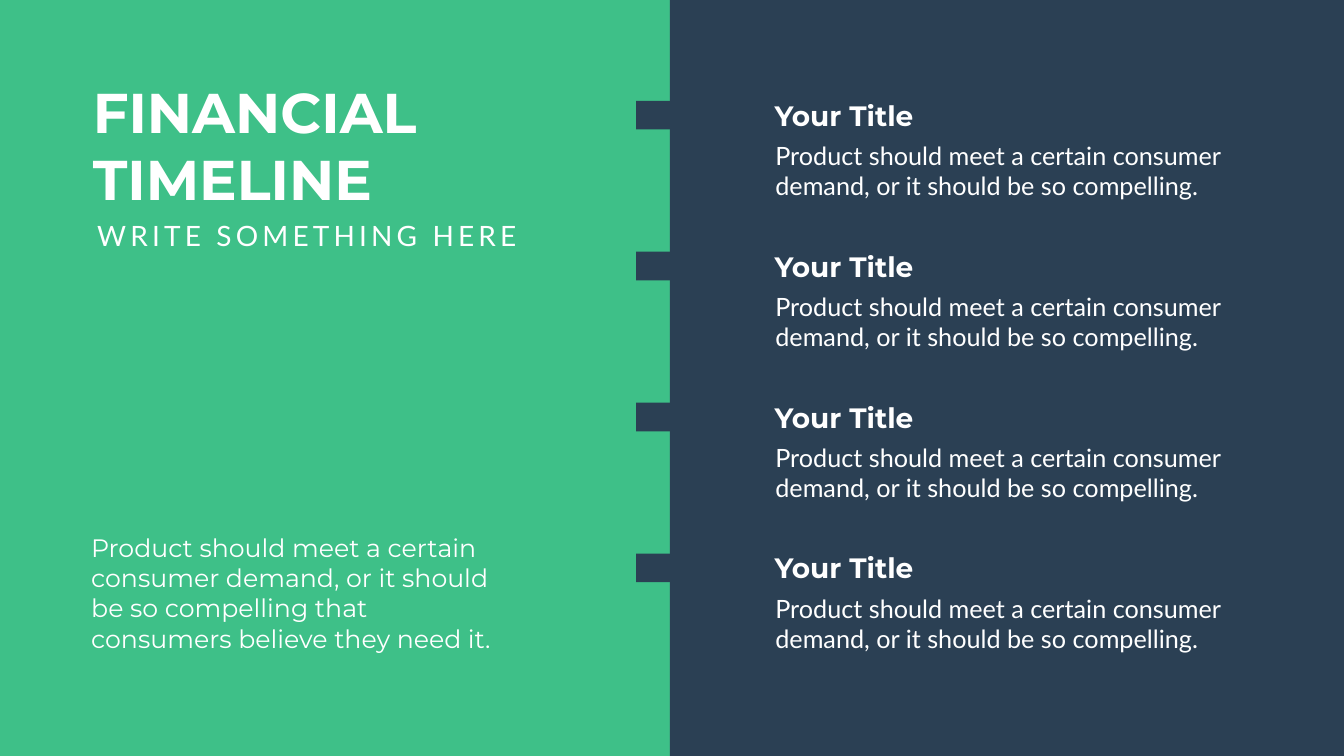
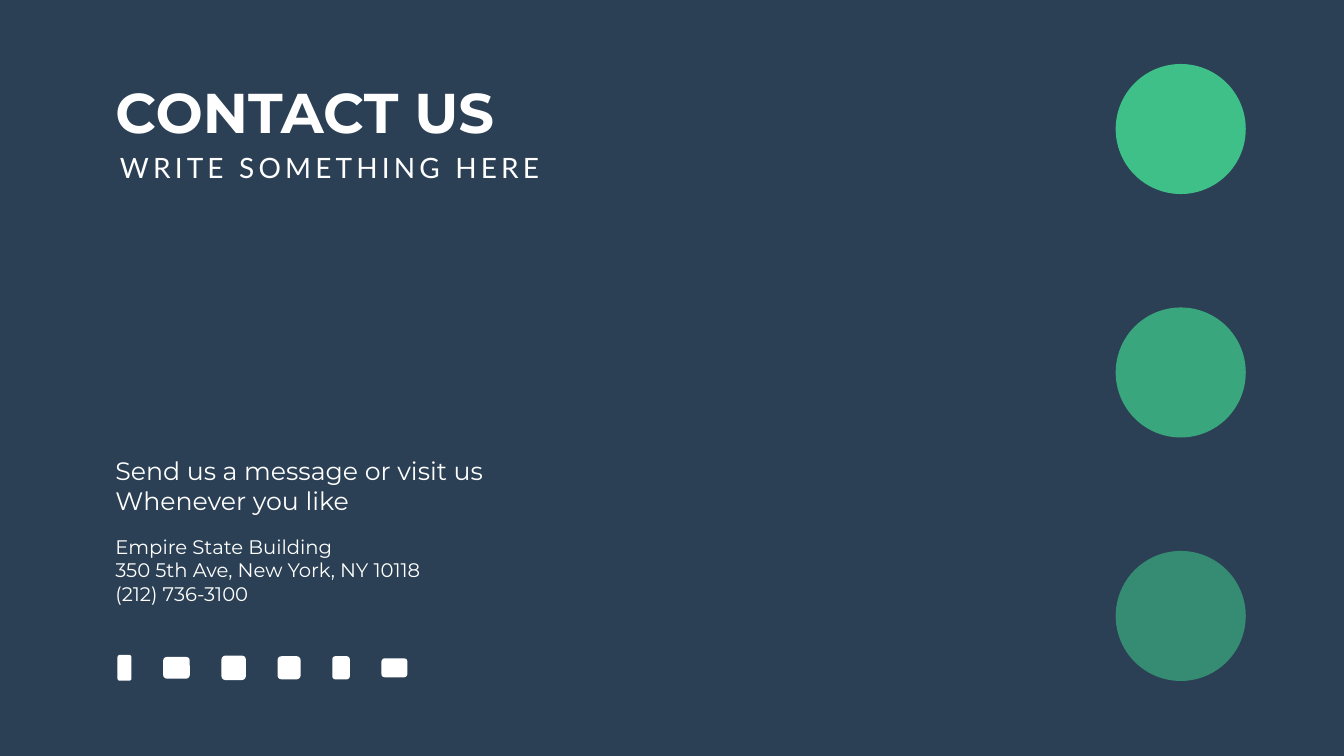
from lxml import etree
from pptx import Presentation
from pptx.dml.color import RGBColor
from pptx.enum.shapes import MSO_SHAPE
from pptx.enum.text import MSO_ANCHOR, MSO_AUTO_SIZE, PP_ALIGN
from pptx.oxml.ns import qn
from pptx.util import Pt

RECT, ROUNDED, OVAL = MSO_SHAPE.RECTANGLE, MSO_SHAPE.ROUNDED_RECTANGLE, MSO_SHAPE.OVAL
TOP, LEFT, GROW = MSO_ANCHOR.TOP, PP_ALIGN.LEFT, MSO_AUTO_SIZE.SHAPE_TO_FIT_TEXT

# Shared style
WIDTH, HEIGHT = 1919.52, 1080
GREEN, NAVY, WHITE = "3EC088", "2B4054", "FFFFFF"
HEAD, BODY = "Montserrat", "Lato"
NARROW, WIDE = (7.2, 3.6), (17.28, 8.64)  # horizontal and vertical insets
TITLE_TOP = 106.6

# Content
SUBTITLE = "WRITE SOMETHING HERE"
MILESTONES = [("Your Title",
               "Product should meet a certain consumer demand, "
               "or it should be so compelling.")] * 4
SUMMARY = ("Product should meet a certain consumer demand, or it should be "
           "so compelling that consumers believe they need it.")
MESSAGE = ["Send us a message or visit us", "Whenever you like"]
ADDRESS = ["Empire State Building", "350 5th Ave, New York, NY 10118",
           "(212) 736-3100"]
CIRCLE_OPACITY = [100, 80, 60]
SOCIAL_MARKS = [(20, 37), (38, 31), (35, 35), (33, 33), (25, 33), (37, 27)]


def color(value):
    return RGBColor.from_string(value)


def add_block(s, kind, x, y, w, h, fill, opacity=100):
    sp = s.shapes.add_shape(kind, Pt(x), Pt(y), Pt(w), Pt(h))
    sp.shadow.inherit = False
    sp.line.fill.background()
    sp.fill.solid()
    sp.fill.fore_color.rgb = color(fill)
    if opacity < 100:
        clr = sp.element.spPr.find(".//" + qn("a:srgbClr"))
        etree.SubElement(clr, qn("a:alpha")).set("val", str(opacity * 1000))
    return sp


def write(sp, text, size, font=HEAD, bold=False, tracking=0, leading=None,
          insets=NARROW, wrap=True):
    tf = sp.text_frame
    tf.word_wrap = wrap
    tf.auto_size = GROW
    tf.vertical_anchor = TOP
    tf.margin_left = tf.margin_right = Pt(insets[0])
    tf.margin_top = tf.margin_bottom = Pt(insets[1])
    lines = [text] if isinstance(text, str) else text
    for i, line in enumerate(lines):
        p = tf.add_paragraph() if i else tf.paragraphs[0]
        p.alignment = LEFT
        if leading:
            p.line_spacing = Pt(leading)
        r = p.add_run()
        r.text = line
        r.font.name, r.font.size, r.font.bold = font, Pt(size), bold
        r.font.color.rgb = color(WHITE)
        if tracking:
            r.font._element.set("spc", str(tracking * 100))


def add_text(s, text, x, y, w, h, size, **fmt):
    sp = s.shapes.add_textbox(Pt(x), Pt(y), Pt(w), Pt(h))
    write(sp, text, size, **fmt)


def add_heading(s, title, x, w, h):
    """Place the title in front of the panels, with the subtitle under it."""
    sp = s.shapes.title
    sp.left, sp.top, sp.width, sp.height = Pt(x), Pt(TITLE_TOP), Pt(w), Pt(h)
    write(sp, title, 80, bold=True)
    sp.element.getparent().append(sp.element)
    add_text(s, SUBTITLE, x + 6.5, TITLE_TOP + h + 0.4, 676, 55.4, 40,
             font=BODY, tracking=6)


def build_timeline(s):
    # Two panels
    add_block(s, RECT, 0, 0, 962.6, HEIGHT, GREEN)
    add_block(s, RECT, 956.9, 0, 962.6, HEIGHT, NAVY)

    # Milestones with a tab on the panel edge
    first, step = 136.8, 215.6
    for i, (name, detail) in enumerate(MILESTONES):
        y = first + i * step
        add_block(s, RECT, 908.6, y + 7.2, 103, 41, NAVY)
        add_text(s, name, 1099.4, y, 380, 55.4, 40, bold=True)
        add_text(s, detail, 1090.1, y + 55.4, 695.5, 104.4, 36, font=BODY,
                 leading=43, insets=WIDE)

    # Heading and summary
    add_heading(s, "FINANCIAL TIMELINE", 125.3, 662.4, 201)
    add_text(s, SUMMARY, 113, 751.7, 625, 191.5, 36, insets=WIDE)


def build_contact(s):
    add_block(s, RECT, 0, 0, WIDTH, HEIGHT, NAVY)
    add_heading(s, "CONTACT US", 157.7, 709.2, 104.6)

    # Fading circles
    for i, opacity in enumerate(CIRCLE_OPACITY):
        add_block(s, OVAL, 1593.4, 91.4 + i * 347.8, 185.8, 185.8, GREEN, opacity)

    # Contact details
    add_text(s, MESSAGE, 157.7, 646.6, 552.2, 94.3, 36, wrap=False)
    add_text(s, ADDRESS, 157.7, 760.3, 452.2, 108.7, 28, wrap=False)

    # Social marks, evenly spaced on one centre line
    x, gap, middle = 167.8, 45.2, 954
    for w, h in SOCIAL_MARKS:
        add_block(s, ROUNDED, x, middle - h / 2, w, h, WHITE)
        x += w + gap


def main():
    prs = Presentation()
    prs.slide_width, prs.slide_height = Pt(WIDTH), Pt(HEIGHT)
    title_only = prs.slide_layouts[5]
    for build in (build_timeline, build_contact):
        build(prs.slides.add_slide(title_only))
    prs.save("out.pptx")


if __name__ == "__main__":
    main()
